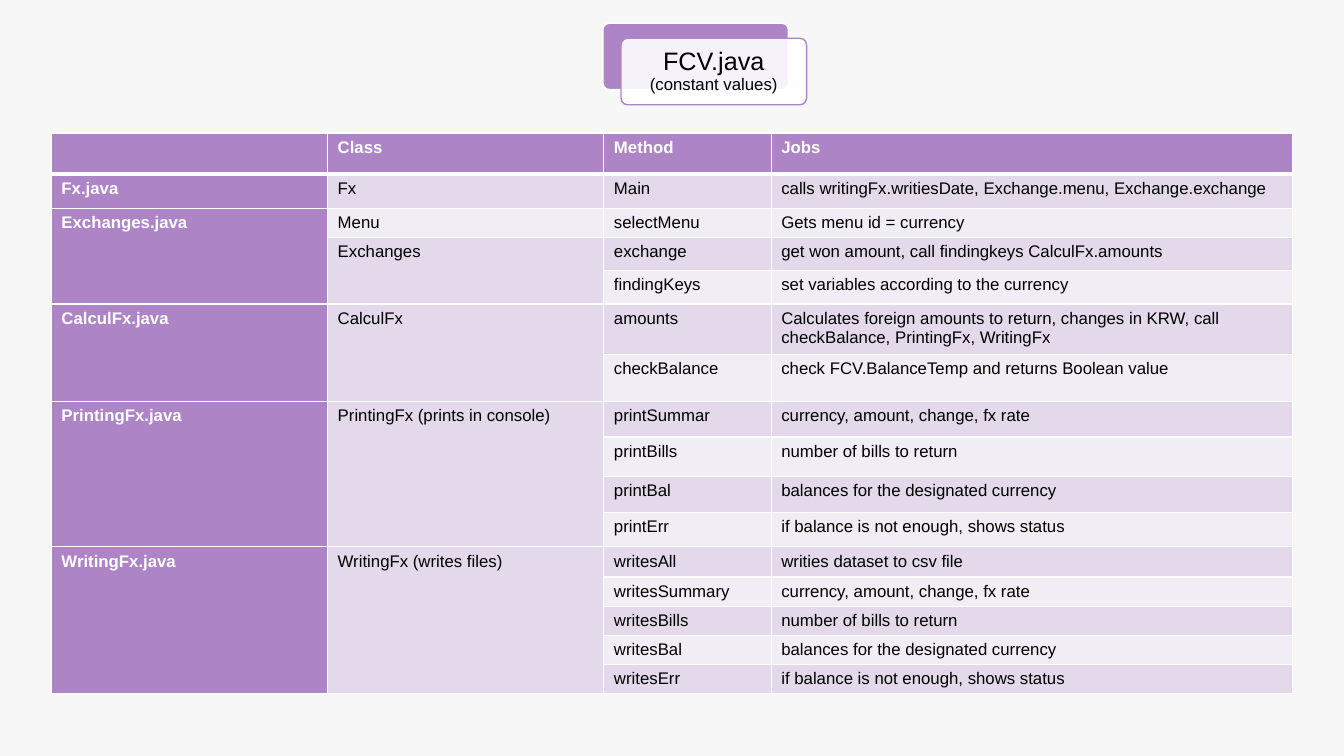
import pptx
import pptx.dml.color
import pptx.enum.shapes
import pptx.enum.text
import pptx.oxml
import pptx.oxml.ns
import pptx.util

PX = 9144  # one px is a hundredth of an inch
FONT = "Arial"
COLORS = {
    "page": "F7F7F7",
    "purple": "AD84C6",
    "lilac": "E3D9EA",
    "pale": "F1EDF5",
    "white": "FFFFFF",
    "black": "000000",
}

COLUMN_WIDTHS = [274, 274, 166, 517]
ROW_HEIGHTS = [32, 34, 29, 33, 33, 50, 47, 35, 39, 36, 34, 30, 29, 29, 29, 29]
HEADINGS = ["", "Class", "Method", "Jobs"]

# Each file holds classes, and each class holds methods with their jobs
FILES = [
    ("Fx.java", [
        ("Fx", [("Main", "calls writingFx.writiesDate, Exchange.menu, Exchange.exchange")]),
    ]),
    ("Exchanges.java", [
        ("Menu", [("selectMenu", "Gets menu id = currency")]),
        ("Exchanges", [
            ("exchange", "get won amount, call findingkeys CalculFx.amounts"),
            ("findingKeys", "set variables according to the currency"),
        ]),
    ]),
    ("CalculFx.java", [
        ("CalculFx", [
            ("amounts", "Calculates foreign amounts to return, changes in KRW, "
                        "call checkBalance, PrintingFx, WritingFx"),
            ("checkBalance", "check FCV.BalanceTemp and returns Boolean value"),
        ]),
    ]),
    ("PrintingFx.java", [
        ("PrintingFx (prints in console)", [
            ("printSummar", "currency, amount, change, fx rate"),
            ("printBills", "number of bills to return"),
            ("printBal", "balances for the designated currency"),
            ("printErr", "if balance is not enough, shows status"),
        ]),
    ]),
    ("WritingFx.java", [
        ("WritingFx (writes files)", [
            ("writesAll", "writies dataset to csv file"),
            ("writesSummary", "currency, amount, change, fx rate"),
            ("writesBills", "number of bills to return"),
            ("writesBal", "balances for the designated currency"),
            ("writesErr", "if balance is not enough, shows status"),
        ]),
    ]),
]


def px(length):
    return pptx.util.Emu(length * PX)


def rgb(name):
    return pptx.dml.color.RGBColor.from_string(COLORS[name])


def write(para, text, size=12, color="black", bold=False):
    span = para.add_run()
    span.text = text
    span.font.name = FONT
    span.font.size = pptx.util.Pt(size)
    span.font.bold = bold
    span.font.color.rgb = rgb(color)


def add_card(page, left, top, fill, line, opacity=100):
    card = page.shapes.add_shape(
        pptx.enum.shapes.MSO_SHAPE.ROUNDED_RECTANGLE, px(left), px(top), px(184), px(66))
    card.adjustments[0] = 0.1
    card.shadow.inherit = False
    card.fill.solid()
    card.fill.fore_color.rgb = rgb(fill)
    card.line.color.rgb = rgb(line)
    card.line.width = pptx.util.Pt(1)
    if opacity < 100:
        tint = card.element.spPr.find(pptx.oxml.ns.qn("a:solidFill"))[0]
        tint.append(pptx.oxml.parse_xml(
            f'<a:alpha {pptx.oxml.ns.nsdecls("a")} val="{opacity * 1000}"/>'))


def place_title(page, name, note):
    box = page.shapes.title
    box.left, box.top, box.width, box.height = px(578), px(40), px(260), px(62)
    box.element.getparent().append(box.element)  # in front of the cards
    frame = box.text_frame
    frame.word_wrap = True
    frame.auto_size = pptx.enum.text.MSO_AUTO_SIZE.NONE
    frame.vertical_anchor = pptx.enum.text.MSO_ANCHOR.MIDDLE
    frame.margin_left = frame.margin_right = px(10)
    frame.margin_top = frame.margin_bottom = px(10)
    para = frame.paragraphs[0]
    para.alignment = pptx.enum.text.PP_ALIGN.CENTER
    para.line_spacing = 0.9
    write(para, name, size=18)
    para.add_line_break()
    write(para, note)


def set_borders(cell, top=1, bottom=1):
    properties = cell._tc.get_or_add_tcPr()
    widths = {"lnL": 1, "lnR": 1, "lnT": top, "lnB": bottom}
    for position, (side, points) in enumerate(widths.items()):
        properties.insert(position, pptx.oxml.parse_xml(
            f'<a:{side} {pptx.oxml.ns.nsdecls("a")} w="{pptx.util.Pt(points)}">'
            f'<a:solidFill><a:srgbClr val="{COLORS["white"]}"/></a:solidFill></a:{side}>'))


def style_cell(cell, row, column):
    if row == 0 or column == 0:
        fill = "purple"
    else:
        fill = "lilac" if row % 2 else "pale"
    cell.fill.solid()
    cell.fill.fore_color.rgb = rgb(fill)
    # A thick rule parts the header from the body
    set_borders(cell, top=3 if row == 1 else 1, bottom=3 if row == 0 else 1)


def fill_cell(table, row, column, text, span=1):
    cell = table.cell(row, column)
    if span > 1:
        cell.merge(table.cell(row + span - 1, column))
    if text:
        heading = row == 0 or column == 0
        write(cell.text_frame.paragraphs[0], text,
              color="white" if heading else "black", bold=heading)


def add_method_table(page):
    table = page.shapes.add_table(
        len(ROW_HEIGHTS), len(COLUMN_WIDTHS), px(51), px(132),
        px(sum(COLUMN_WIDTHS)), px(sum(ROW_HEIGHTS))).table
    table.first_row = table.horz_banding = False
    for column, width in enumerate(COLUMN_WIDTHS):
        table.columns[column].width = px(width)
    for row, height in enumerate(ROW_HEIGHTS):
        table.rows[row].height = px(height)
        for column in range(len(COLUMN_WIDTHS)):
            style_cell(table.cell(row, column), row, column)

    for column, heading in enumerate(HEADINGS):
        fill_cell(table, 0, column, heading)
    row = 1
    for file_name, classes in FILES:
        fill_cell(table, row, 0, file_name, span=sum(len(methods) for _, methods in classes))
        for class_name, methods in classes:
            fill_cell(table, row, 1, class_name, span=len(methods))
            for method, job in methods:
                fill_cell(table, row, 2, method)
                fill_cell(table, row, 3, job)
                row += 1


def main():
    deck = pptx.Presentation()
    deck.slide_width, deck.slide_height = px(1333), px(750)
    page = deck.slides.add_slide(deck.slide_layouts[5])
    page.background.fill.solid()
    page.background.fill.fore_color.rgb = rgb("page")

    # Constants file above the table
    add_card(page, 598, 23, fill="purple", line="white")
    add_card(page, 616, 38, fill="white", line="purple", opacity=90)
    place_title(page, "FCV.java", "(constant values)")

    # Files, classes, methods and jobs
    add_method_table(page)
    deck.save("out.pptx")


if __name__ == "__main__":
    main()
